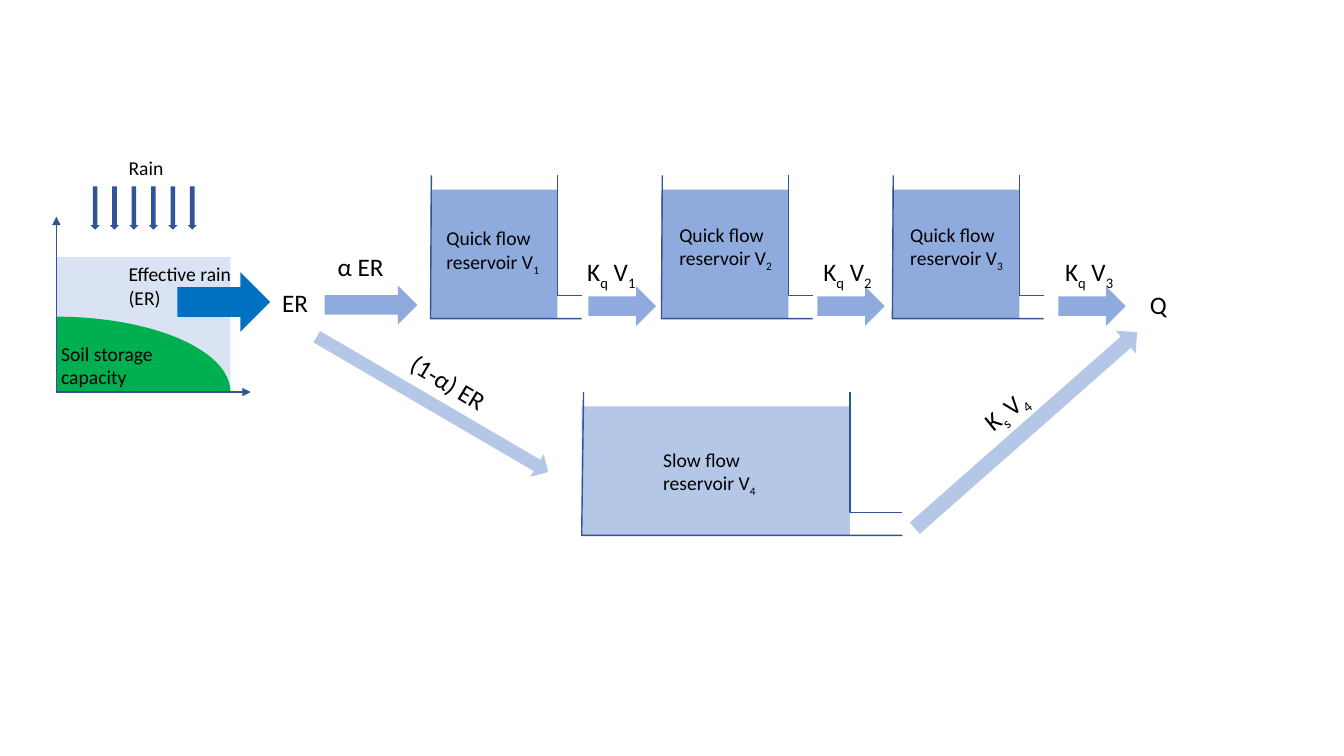
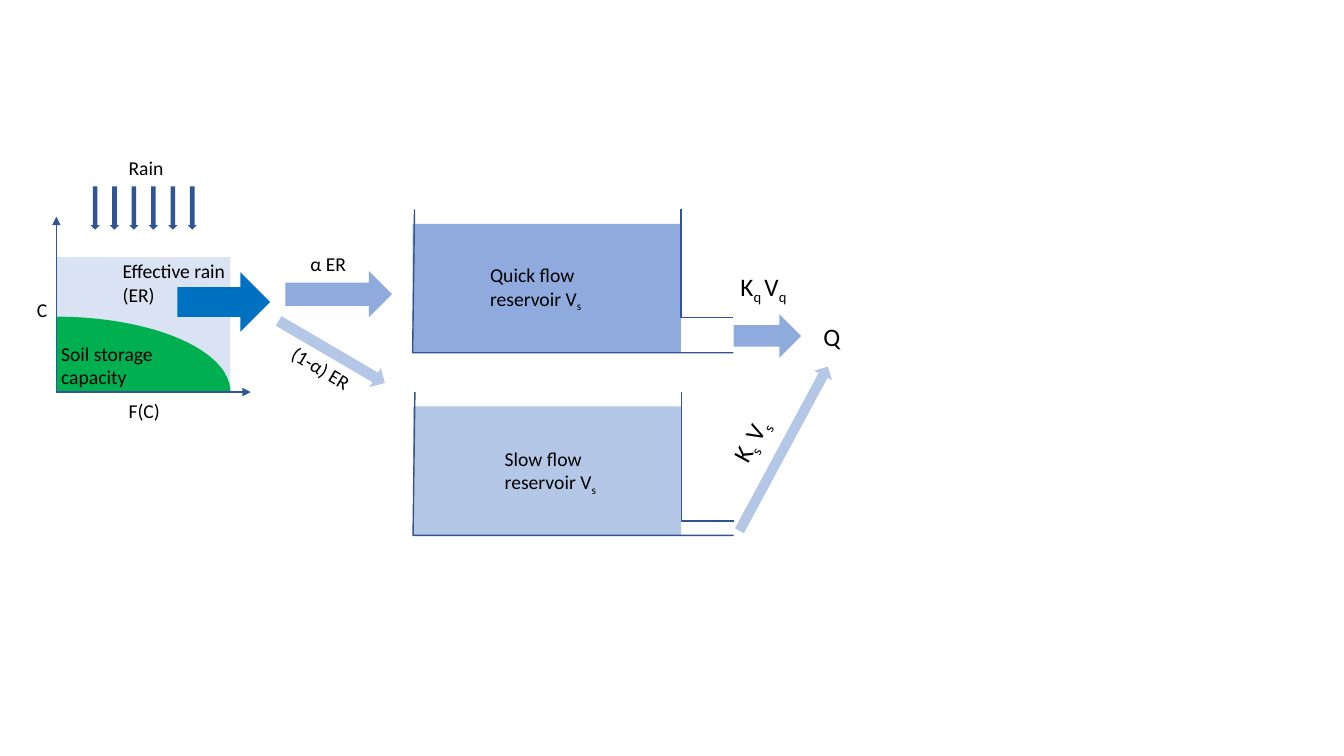
from pptx import Presentation
from pptx.dml.color import RGBColor
from pptx.enum.shapes import MSO_CONNECTOR, MSO_SHAPE as SHAPE
from pptx.enum.text import MSO_AUTO_SIZE, PP_ALIGN as ALIGN
from pptx.oxml.ns import qn
from pptx.util import Cm, Pt
from lxml.etree import SubElement

# Shared colours, font and sizes (lengths in cm)
BLACK = RGBColor(0x00, 0x00, 0x00)
OUTLINE = RGBColor(0x32, 0x54, 0x91)
RAIN = RGBColor(0x2F, 0x55, 0x97)
SURPLUS = RGBColor(0xDA, 0xE3, 0xF3)
SOIL = RGBColor(0x00, 0xB0, 0x50)
EFFECTIVE = RGBColor(0x00, 0x70, 0xC0)
QUICK = RGBColor(0x8F, 0xAA, 0xDC)
SLOW = RGBColor(0xB4, 0xC7, 0xE7)
FONT = "Calibri"
LINE_HEIGHT = {14: 0.86, 18: 1.02}
TWO_LINES = 1.45
NOTE_WIDTH = 3.38
SOIL_BOX = (1.42, 6.48, 4.39, 3.40)
QUICK_BOX = (10.85, 4.78, 3.20, 3.25)
TANK_PITCH = 5.82


def add_text(s, text, x, y, w, h=None, size=14, rot=0, color=BLACK):
    """Text box; every second part between bars is a subscript."""
    sp = s.shapes.add_textbox(Cm(x), Cm(y), Cm(w), Cm(h or LINE_HEIGHT[size]))
    sp.rotation = rot
    tf = sp.text_frame
    tf.word_wrap = True
    tf.auto_size = MSO_AUTO_SIZE.SHAPE_TO_FIT_TEXT
    p = tf.paragraphs[0]
    p.alignment = ALIGN.LEFT
    for i, part in enumerate(text.split("|")):
        if not part:
            continue
        r = p.add_run()
        r.text = part
        r.font.name, r.font.size = FONT, Pt(size)
        r.font.color.rgb = color
        if i % 2:
            r.font._element.set("baseline", "-25000")
    return sp


def add_filled(s, kind, box, color, rot=0):
    sp = s.shapes.add_shape(kind, *map(Cm, box))
    sp.shadow.inherit = False
    sp.fill.solid()
    sp.fill.fore_color.rgb = color
    sp.line.fill.background()
    sp.rotation = rot
    return sp


def add_wall(s, points):
    (x, y), *rest = [(Cm(px), Cm(py)) for px, py in points]
    builder = s.shapes.build_freeform(x, y)
    builder.add_line_segments(rest, close=False)
    sp = builder.convert_to_shape()
    sp.shadow.inherit = False
    sp.fill.background()
    sp.line.color.rgb = OUTLINE
    sp.line.width = Pt(1)


def add_axis(s, x1, y1, x2, y2):
    axis = s.shapes.add_connector(
        MSO_CONNECTOR.STRAIGHT, Cm(x1), Cm(y1), Cm(x2), Cm(y2))
    axis.line.color.rgb = OUTLINE
    axis.line.width = Pt(1)
    SubElement(axis.line._get_or_add_ln(), qn("a:tailEnd"), type="triangle")
    SubElement(axis._element.spPr, qn("a:effectLst"))


def add_tank(s, box, color, text, label_at, pipe=1.32, bore=0.58):
    """Water with open walls, an outlet pipe and a label."""
    x, y, w, h = box
    rim, right, bottom, lean = y - 0.36, x + w, y + h, w * 0.007
    add_filled(s, SHAPE.RECTANGLE, box, color)
    add_wall(s, [(x + lean, rim), (x, bottom), (right + pipe, bottom)])
    add_wall(s, [(right, rim), (right, bottom - bore),
                 (right + pipe, bottom - bore)])
    dx, dy = label_at
    add_text(s, text, x + dx, y + dy, NOTE_WIDTH, h=TWO_LINES)


def add_flow(s, box, color, text, label_at, w=2.03, size=18, rot=0,
             label_rot=0):
    """Block arrow with its label offset from the arrow's box."""
    x, y = box[:2]
    dx, dy = label_at
    add_filled(s, SHAPE.RIGHT_ARROW, box, color, rot)
    add_text(s, text, x + dx, y + dy, w, size=size, rot=label_rot)


def add_soil_store(s, box, effective_at):
    """Rain falling on the soil storage diagram."""
    x, y, w, h = box
    bottom, soil_top = y + h, 1.5
    add_filled(s, SHAPE.RECTANGLE, box, SURPLUS)
    add_filled(s, SHAPE.ARC,
               (x - w, y + soil_top, 2 * w, 2 * (h - soil_top)), SOIL)
    add_axis(s, x, bottom, x + 4.9, bottom)
    add_axis(s, x, bottom, x, y - 1.02)
    add_filled(s, SHAPE.RIGHT_ARROW, (x + 3.05, y + 0.38, 2.34, 1.5), EFFECTIVE)
    # Rain
    for i in range(6):
        add_filled(s, SHAPE.RIGHT_ARROW,
                   (x + 0.43 + i * 0.49, y - 1.35, 1.09, 0.23), RAIN, rot=90)
    # Labels
    dx, dy = effective_at
    add_text(s, "Rain", x + 1.57, y - 2.67, NOTE_WIDTH)
    add_text(s, "Effective rain (ER)", x + dx, y + dy, NOTE_WIDTH, h=TWO_LINES)
    add_text(s, "Soil storage capacity", x - 0.13, y + 2.01, NOTE_WIDTH,
             h=TWO_LINES)


def add_axis_names(s, box):
    x, y, w, h = box
    add_text(s, "C", x - 0.74, y + 0.91, 1.19)
    add_text(s, "F(C)", x + 1.57, y + h + 0.05, 1.47)


def build_three_tanks(s):
    add_soil_store(s, SOIL_BOX, (1.57, 0))
    add_text(s, "ER", 6.86, 7.11, 1.4, size=18)
    # Quick path
    x, y, w, h = QUICK_BOX
    for i, label_at in enumerate([(0.15, 0.79), (0.2, 0.71), (0.2, 0.71)]):
        add_tank(s, (x + i * TANK_PITCH, y, w, h), QUICK,
                 f"Quick flow reservoir V|{i + 1}", label_at, pipe=0.61)
    add_flow(s, (8.18, 7.19, 2.34, 0.99), QUICK, "α ER", (0.08, -0.99), w=1.98)
    outflows = [(14.83, -0.28), (20.6, -0.1), (26.67, -0.08)]
    for i, (left, dx) in enumerate(outflows, 1):
        add_flow(s, (left, 7.22, 1.7, 0.99), QUICK, f"K|q| V|{i}", (dx, -0.88))
    # Slow path
    add_tank(s, (14.66, 10.24, 6.76, 3.25), SLOW, "Slow flow reservoir V|4",
             (1.8, 0.91))
    add_flow(s, (7.52, 9.86, 6.76, 0.66), SLOW, "(1-α) ER", (2.49, -0.69),
             w=2.74, rot=30.3, label_rot=31.1)
    add_flow(s, (22.12, 10.46, 7.47, 0.76), SLOW, "K|s| V|4", (2.34, -0.74),
             rot=318.6, label_rot=321.2)
    add_text(s, "Q", 28.73, 7.16, 2.03, size=18)


def build_two_tanks(s):
    add_soil_store(s, SOIL_BOX, (1.42, -0.08))
    add_axis_names(s, SOIL_BOX)
    # Quick path
    add_tank(s, (10.4, 5.64, 6.76, 3.25), QUICK, "Quick flow reservoir V|s",
             (1.7, 0.86), bore=0.89)
    add_flow(s, (7.19, 6.83, 2.69, 1.17), QUICK, "α ER", (0.38, -0.61),
             w=1.98, size=14)
    add_flow(s, (18.49, 7.92, 1.7, 1.09), QUICK, "K|q |V|q", (-0.08, -1.22))
    # Slow path
    add_tank(s, (10.41, 10.24, 6.76, 3.25), SLOW, "Slow flow reservoir V|s",
             (2.06, 0.89), bore=0.36)
    add_flow(s, (6.81, 8.59, 3.1, 0.56), SLOW, "(1-α) ER", (0.18, 0.43),
             w=2.74, size=14, rot=30.3, label_rot=31.1)
    add_flow(s, (17.4, 11.05, 4.7, 0.51), SLOW, "K|s| V|s", (0.58, -0.64),
             rot=298.3, label_rot=298.8)
    add_text(s, "Q", 20.5, 7.98, 2.03, size=18)


prs = Presentation()
prs.slide_width, prs.slide_height = Cm(33.87), Cm(19.05)
blank = prs.slide_layouts[6]
for build in (build_three_tanks, build_two_tanks):
    build(prs.slides.add_slide(blank))
prs.save("out.pptx")
